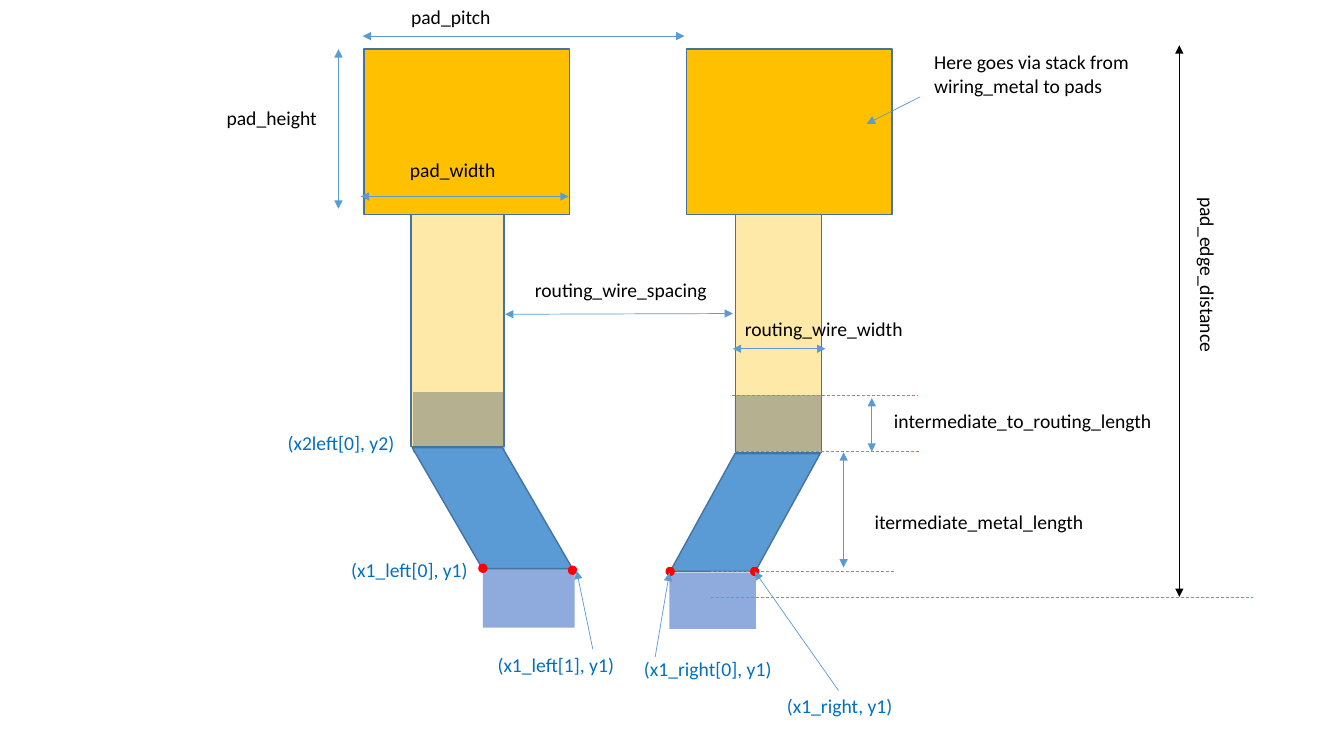
from dataclasses import dataclass

from lxml import etree
from pptx import Presentation
from pptx.dml.color import RGBColor
from pptx.enum import dml, shapes, text
from pptx.oxml.ns import qn
from pptx.util import Cm, Pt


@dataclass(frozen=True)
class Theme:
    """Colours, type and line weights of the pad layout diagram."""

    pad: str = "FFC000"
    metal: str = "5B9BD5"
    stub: str = "8FAADC"
    outline: str = "43739E"
    corner: str = "FF0000"
    ink: str = "000000"
    coordinate: str = "0070C0"
    font: str = "Calibri"
    text_size: float = 14
    outline_width: float = 1
    line_width: float = 0.5
    wire_opacity: int = 34


THEME = Theme()
TEXT_HEIGHT = 0.86
DOT_SIZE = 0.2


def add_block(slide, box, fill, outline=None, kind="RECTANGLE", opacity=None, slant=None, mirrored=False):
    """Draw one filled shape of the layout."""
    shape = slide.shapes.add_shape(shapes.MSO_SHAPE[kind], *map(Cm, box))
    shape.shadow.inherit = False
    shape.fill.solid()
    shape.fill.fore_color.rgb = RGBColor.from_string(fill)
    if outline:
        shape.line.color.rgb = RGBColor.from_string(outline)
        shape.line.width = Pt(THEME.outline_width)
    else:
        shape.line.fill.background()
    properties = shape._element.spPr
    if opacity is not None:
        color = properties.find(qn("a:solidFill")).find(qn("a:srgbClr"))
        etree.SubElement(color, qn("a:alpha"), val=str(opacity * 1000))
    if slant is not None:
        shape.adjustments[0] = slant
    if mirrored:
        properties.find(qn("a:xfrm")).set("flipH", "1")


def add_line(slide, start, end, color=THEME.metal, heads=(), dashed=False):
    """Draw a thin line with arrowheads at the named ends."""
    connector = slide.shapes.add_connector(
        shapes.MSO_CONNECTOR.STRAIGHT, *map(Cm, (*start, *end))
    )
    connector.line.color.rgb = RGBColor.from_string(color)
    connector.line.width = Pt(THEME.line_width)
    if dashed:
        connector.line.dash_style = dml.MSO_LINE.DASH
    outline = connector.line._get_or_add_ln()
    for head in heads:
        etree.SubElement(outline, qn(f"a:{head}"), type="triangle")
    etree.SubElement(connector._element.spPr, qn("a:effectLst"))


def add_label(slide, words, left, top, width, height=TEXT_HEIGHT, color=THEME.ink, align="LEFT", rotation=0):
    """Write one label in a wrapping text box."""
    label = slide.shapes.add_textbox(*map(Cm, (left, top, width, height)))
    label.rotation = rotation
    frame = label.text_frame
    frame.word_wrap = True
    frame.auto_size = text.MSO_AUTO_SIZE.SHAPE_TO_FIT_TEXT
    paragraph = frame.paragraphs[0]
    paragraph.alignment = text.PP_ALIGN[align]
    run = paragraph.add_run()
    run.text = words
    run.font.name = THEME.font
    run.font.size = Pt(THEME.text_size)
    run.font.color.rgb = RGBColor.from_string(color)


def add_layout(slide):
    """Draw the stubs, pads, intermediate metal and routing wires."""
    for left, top, width, height in (
        (12.17, 14.3, 2.31, 1.52),
        (16.87, 14.43, 2.18, 1.42),
        (10.41, 9.88, 2.31, 1.52),
        (18.52, 9.96, 2.18, 1.42),
    ):
        add_block(slide, (left, top, width, height), THEME.stub)
    for left in (9.17, 17.3):
        add_block(slide, (left, 1.24, 5.18, 4.17), THEME.pad, THEME.outline)
    for box, slant, mirrored in (
        ((16.89, 11.43, 3.78, 2.97), 0.55, False),
        ((10.39, 11.28, 4.04, 3.05), 0.58, True),
    ):
        add_block(slide, box, THEME.metal, THEME.outline, "PARALLELOGRAM", slant=slant, mirrored=mirrored)
    for left, width, height in ((10.36, 2.34, 5.84), (18.54, 2.16, 5.99)):
        add_block(slide, (left, 5.41, width, height), THEME.pad, THEME.outline, opacity=THEME.wire_opacity)


def add_dimensions(slide):
    """Draw the dimension arrows, dashed guides and their names."""
    for left, right, y in (
        (17.91, 31.57, 15.04),
        (17.91, 22.56, 14.4),
        (18.54, 23.19, 11.38),
        (18.44, 23.11, 9.96),
    ):
        add_line(slide, (left, y), (right, y), dashed=True)
    both = ("headEnd", "tailEnd")
    for start, end in (
        ((21.26, 11.4), (21.26, 14.3)),
        ((12.73, 7.92), (18.47, 7.9)),
        ((18.47, 8.79), (20.8, 8.79)),
        ((21.97, 10.03), (21.97, 11.38)),
        ((9.14, 0.91), (17.25, 0.91)),
        ((9.09, 4.95), (14.33, 4.95)),
        ((8.53, 1.24), (8.53, 5.26)),
    ):
        add_line(slide, start, end, heads=both)
    add_line(slide, (29.72, 1.14), (29.72, 15.04), color=THEME.ink, heads=both)
    for words, left, top, width in (
        ("itermediate_metal_length", 21.79, 12.73, 8.31),
        ("routing_wire_spacing", 13.23, 6.88, 8.31),
        ("routing_wire_width", 18.52, 7.85, 5.44),
        ("intermediate_to_routing_length", 22.28, 10.19, 8.28),
        ("pad_pitch", 10.11, 0, 5.44),
        ("pad_width", 10.08, 3.86, 3.3),
        ("pad_height", 5.46, 2.54, 2.97),
    ):
        add_label(slide, words, left, top, width)
    add_label(slide, "pad_edge_distance", 27.94, 6.78, 4.98, rotation=90)
    add_label(slide, "Here goes via stack from wiring_metal to pads", 23.29, 1.14, 5.44, height=1.45)


def add_corners(slide):
    """Mark the corner points, their coordinates and all pointers."""
    for left, top in ((12.07, 14.22), (14.33, 14.27), (16.79, 14.3), (18.92, 14.3)):
        add_block(slide, (left, top, DOT_SIZE, DOT_SIZE), THEME.corner, THEME.corner, "OVAL")
    for words, left, top, width, align in (
        ("(x2left[0], y2)", 4.14, 10.74, 6.05, "RIGHT"),
        ("(x1_left[0], y1)", 6.2, 13.94, 5.84, "RIGHT"),
        ("(x1_left[1], y1)", 12.29, 16.33, 3.73, "LEFT"),
        ("(x1_right[0], y1)", 15.98, 16.43, 6.12, "LEFT"),
        ("(x1_right, y1)", 19.58, 17.37, 4.67, "LEFT"),
    ):
        add_label(slide, words, left, top, width, color=THEME.coordinate, align=align)
    for start, end in (
        ((23.19, 2.44), (21.84, 3.12)),
        ((14.94, 16.36), (14.53, 14.38)),
        ((16.51, 16.56), (16.87, 14.43)),
        ((21.13, 17.4), (19.02, 14.4)),
    ):
        add_line(slide, start, end, heads=("tailEnd",))


def main():
    """Build the pad layout slide and save it."""
    presentation = Presentation()
    presentation.slide_width = Cm(33.87)
    presentation.slide_height = Cm(19.05)
    slide = presentation.slides.add_slide(presentation.slide_layouts[6])
    add_layout(slide)
    add_dimensions(slide)
    add_corners(slide)
    presentation.save("out.pptx")


if __name__ == "__main__":
    main()
